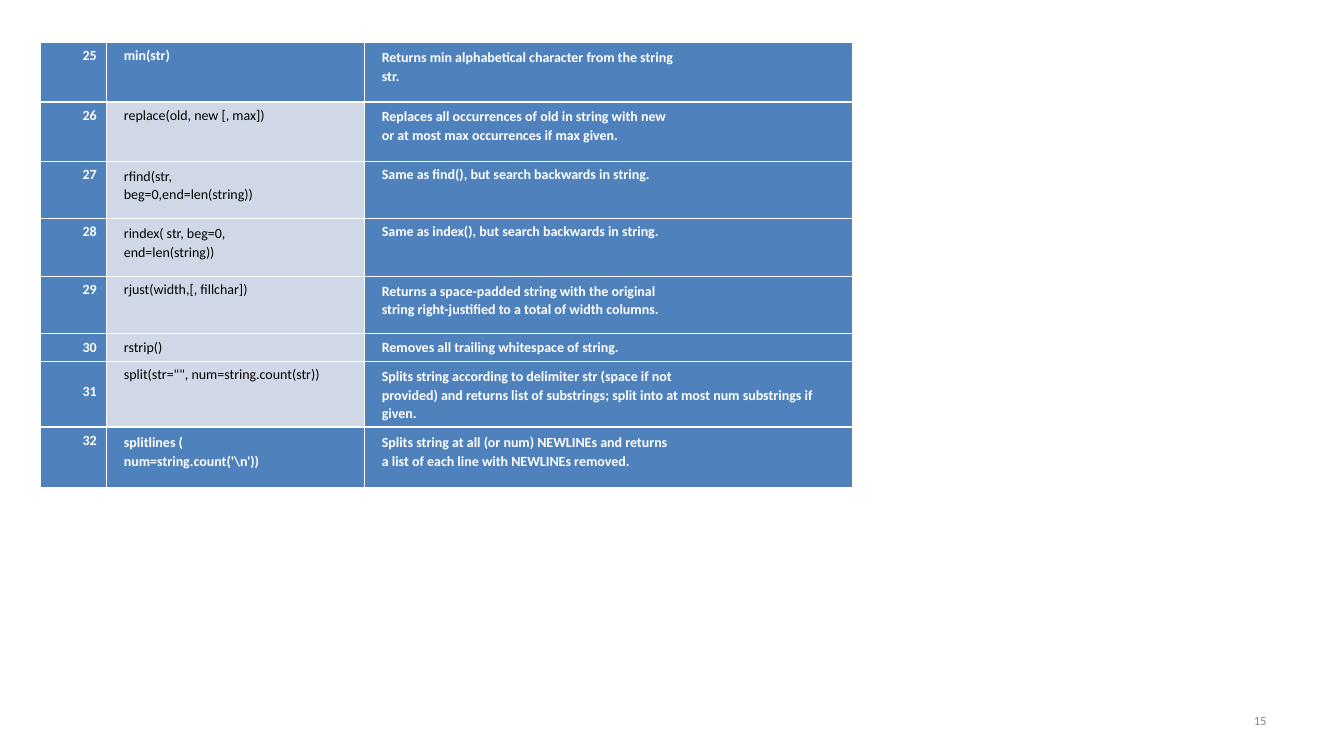
import pptx
import pptx.dml.color
import pptx.enum.text
import pptx.oxml
import pptx.oxml.ns
import pptx.util

Inches = pptx.util.Inches
Pt = pptx.util.Pt

BLUE = "4F81BD"
PALE = "D0D8E8"
WHITE = "FFFFFF"
BLACK = "000000"
GREY = "898989"
THIN, THICK = 0.45, 1.47

COLUMN_WIDTHS = [0.66, 2.56, 4.84]
ROW_HEIGHTS = [0.59, 0.59, 0.57, 0.57, 0.57, 0.26, 0.59, 0.59]
FIRST_NUMBER = 25
THICK_BELOW = {25, 31}
PLAIN_METHODS = range(26, 32)

METHODS = [
    (["min(str)"],
     ["Returns min alphabetical character from the string", "str."]),
    (["replace(old, new [, max])"],
     ["Replaces all occurrences of old in string with new",
      "or at most max occurrences if max given."]),
    (["rfind(str,", "beg=0,end=len(string))"],
     ["Same as find(), but search backwards in string."]),
    (["rindex( str, beg=0,", "end=len(string))"],
     ["Same as index(), but search backwards in string."]),
    (["rjust(width,[, fillchar])"],
     ["Returns a space-padded string with the original",
      "string right-justified to a total of width columns."]),
    (["rstrip()"],
     ["Removes all trailing whitespace of string."]),
    (['split(str="", num=string.count(str))'],
     ["Splits string according to delimiter str (space if not",
      "provided) and returns list of substrings; "
      "split into at most num substrings if given."]),
    (["splitlines (", r"num=string.count('\n'))"],
     ["Splits string at all (or num) NEWLINEs and returns",
      "a list of each line with NEWLINEs removed."]),
]


def rgb(color):
    return pptx.dml.color.RGBColor.from_string(color)


def format_paragraph(paragraph, size, color, bold=False, right=False):
    paragraph.font.name = "Calibri"
    paragraph.font.size = Pt(size)
    paragraph.font.bold = bold
    paragraph.font.color.rgb = rgb(color)
    if right:
        paragraph.alignment = pptx.enum.text.PP_ALIGN.RIGHT


def set_borders(cell, top, bottom):
    properties = cell._tc.get_or_add_tcPr()
    widths = [("lnL", THIN), ("lnR", THIN), ("lnT", top), ("lnB", bottom)]
    for position, (tag, width) in enumerate(widths):
        properties.insert(position, pptx.oxml.parse_xml(
            f'<a:{tag} {pptx.oxml.ns.nsdecls("a")} w="{Pt(width)}">'
            f'<a:solidFill><a:srgbClr val="{WHITE}"/></a:solidFill></a:{tag}>'))


def set_line_spacing(paragraphs, compact):
    if compact:
        paragraphs[0].line_spacing = Pt(12.7)
    elif len(paragraphs) == 1:
        paragraphs[0].space_before = Pt(6.5)
    else:
        for index, paragraph in enumerate(paragraphs):
            paragraph.line_spacing = Pt(13.2 if index else 13.5)


def fill_cell(cell, lines, compact, plain=False, right=False):
    cell.fill.solid()
    cell.fill.fore_color.rgb = rgb(PALE if plain else BLUE)
    cell.text_frame.text = "\n".join(lines)
    paragraphs = cell.text_frame.paragraphs
    for paragraph in paragraphs:
        format_paragraph(paragraph, 10, BLACK if plain else WHITE, not plain, right)
        if not right:
            paragraph._p.get_or_add_pPr().set("marL", str(Inches(0.07)))
    set_line_spacing(paragraphs, compact)


def add_method_table(slide):
    table = slide.shapes.add_table(
        len(METHODS), len(COLUMN_WIDTHS), Inches(0.4), Inches(0.42),
        Inches(sum(COLUMN_WIDTHS)), Inches(sum(ROW_HEIGHTS))).table
    table.first_row = False
    table.horz_banding = False
    for column, width in zip(table.columns, COLUMN_WIDTHS):
        column.width = Inches(width)
    for index, (method, description) in enumerate(METHODS):
        number = FIRST_NUMBER + index
        row = table.rows[index]
        row.height = Inches(ROW_HEIGHTS[index])
        compact = ROW_HEIGHTS[index] < 0.3
        number_cell, method_cell, description_cell = row.cells
        fill_cell(number_cell, [str(number)], compact, right=True)
        fill_cell(method_cell, method, compact, plain=number in PLAIN_METHODS)
        fill_cell(description_cell, description, compact)
        if number == 31:
            number_cell.margin_top = Inches(0.22)
        top = THICK if number - 1 in THICK_BELOW else THIN
        bottom = THICK if number in THICK_BELOW else THIN
        for cell in row.cells:
            set_borders(cell, top, bottom)


def add_page_number(slide, number):
    shape = slide.shapes.add_textbox(
        Inches(9.56), Inches(6.95), Inches(3.11), Inches(0.4))
    frame = shape.text_frame
    frame.word_wrap = True
    frame.vertical_anchor = pptx.enum.text.MSO_ANCHOR.MIDDLE
    frame.text = str(number)
    format_paragraph(frame.paragraphs[0], 9, GREY, right=True)


def main():
    presentation = pptx.Presentation()
    presentation.slide_width = Inches(13.34)
    presentation.slide_height = Inches(7.5)
    slide = presentation.slides.add_slide(presentation.slide_layouts[6])
    add_method_table(slide)
    add_page_number(slide, 15)
    presentation.save("out.pptx")


if __name__ == "__main__":
    main()
